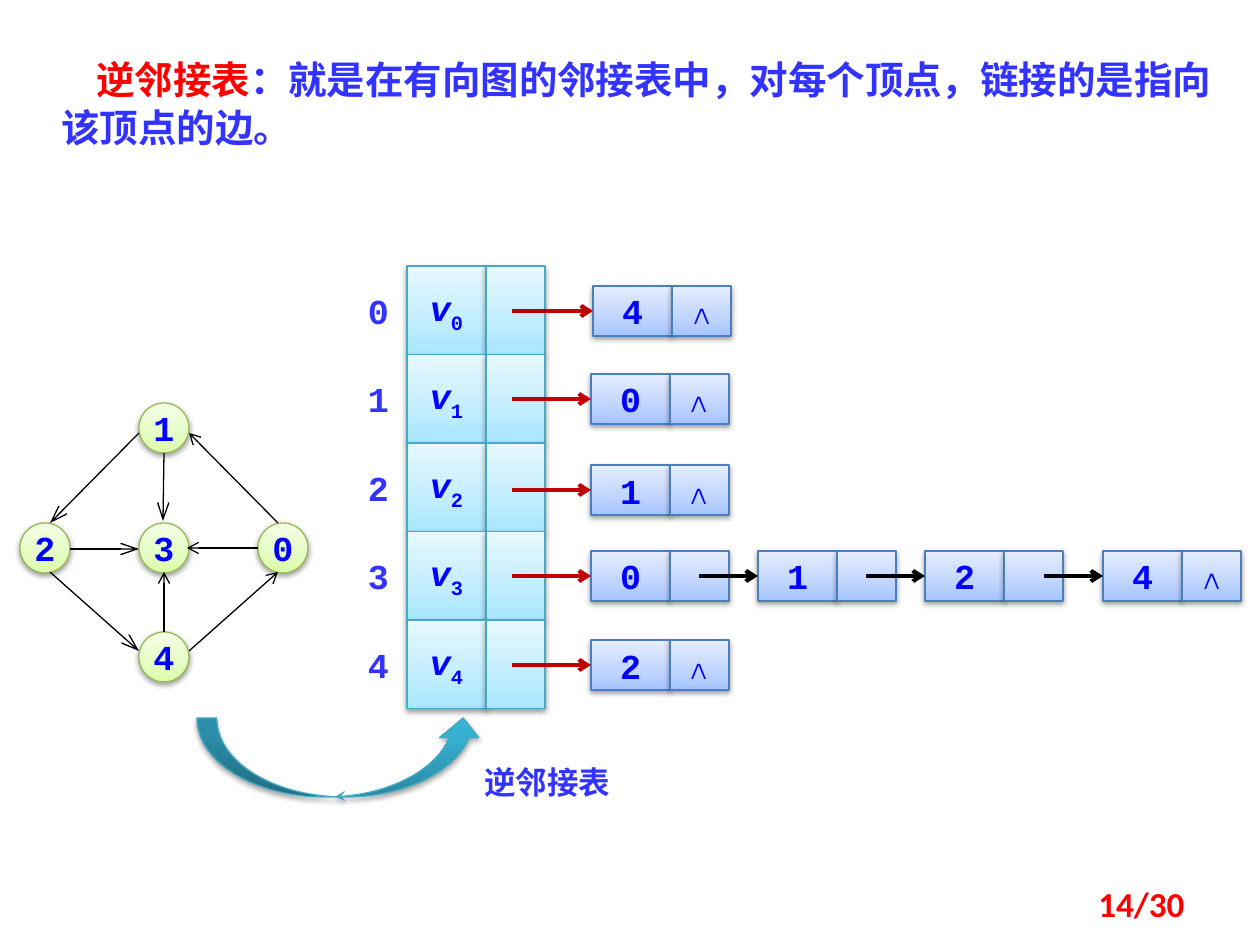
"""Build the slide that explains the inverse adjacency list of a directed graph."""
from copy import deepcopy
from dataclasses import dataclass

from lxml.etree import SubElement
from pptx import Presentation
from pptx.dml.color import RGBColor
from pptx.enum.shapes import MSO_CONNECTOR as Link, MSO_SHAPE as Shape
from pptx.enum.text import MSO_ANCHOR as Anchor, PP_ALIGN as Align
from pptx.oxml.ns import qn
from pptx.util import Pt


@dataclass(frozen=True)
class Theme:
    mono: str = "Courier New"
    cjk: str = "Noto Sans CJK SC"
    page: str = "Calibri"
    red: str = "FF0000"
    indigo: str = "3333FF"
    blue: str = "0000FF"
    black: str = "000000"
    pointer: str = "C00000"
    vertex: tuple = ("98B955", (0, "DAFDA7"), (35, "E4FCC2"), (100, "F5FFE7"))
    node: tuple = ("4B7EBC", (0, "A4C4FF"), (35, "BFD4FF"), (100, "E6EEFF"))
    header: tuple = ("46AAC5", (0, "A7E6FF"), (35, "C1EDFF"), (100, "E7F8FF"))
    swoop: tuple = ("46AAC5", (0, "2A88A2"), (80, "37B1D2"), (100, "34B4D6"))
    lead_size: int = 22
    label_size: int = 20
    caption_size: int = 18
    thin: float = 0.75
    thick: float = 2.25


THEME = Theme()
KEY_W, LINK_W, NODE_H = 79, 59, 50
TABLE_X, TABLE_Y, ROW_H = 407, 266, 88.5
VERTEX_D = 50
VERTICES = {"1": (139, 403), "3": (139, 523), "2": (20, 523), "0": (258, 523), "4": (139, 632)}
EDGES = [
    (139, 433, 50, 523, "lg"),
    (278, 523, 189, 433, "med"),
    (70, 549, 139, 549, "lg"),
    (258, 548, 187, 548, "med"),
    (164, 453, 163, 521, "lg"),
    (50, 572, 139, 651, "lg"),
    (164, 632, 164, 572, "med"),
    (189, 651, 278, 572, "med"),
]
CHAINS = [
    (286, [(593, "4")]),
    (374, [(591, "0")]),
    (465, [(591, "1")]),
    (551, [(591, "0"), (758, "1"), (925, "2"), (1103, "4")]),
    (640, [(591, "2")]),
]


def px(*lengths):
    """Turn pixel lengths into EMU."""
    return [round(length * 914400 / 126) for length in lengths]


def style_run(run, size, color, font=THEME.mono, cjk=None):
    """Give a run its bold typeface, size and colour."""
    run.font.name, run.font.size, run.font.bold = font, Pt(size), True
    run.font.color.rgb = RGBColor.from_string(color)
    if cjk:
        SubElement(run._r.get_or_add_rPr(), qn("a:ea"), typeface=cjk)


def add_glossy(slide, preset, box, palette, text="", shadow_alpha=38):
    """Add a preset shape with a three-stop gradient, a shadow and a centred label."""
    outline, *stops = palette
    shape = slide.shapes.add_shape(preset, *px(*box))
    shape.fill.gradient()
    shape.fill.gradient_angle = 90
    stop_list = shape._element.spPr.find(".//" + qn("a:gsLst"))
    stop_list.append(deepcopy(stop_list[0]))
    for stop, (position, color) in zip(shape.fill.gradient_stops, stops):
        stop.position = position / 100
        stop.color.rgb = RGBColor.from_string(color)
    shape.line.color.rgb = RGBColor.from_string(outline)
    shape.line.width = Pt(THEME.thin)
    shape.shadow.inherit = False
    shadow = SubElement(shape._element.spPr.find(qn("a:effectLst")), qn("a:outerShdw"),
                        blurRad="40000", dist="20000", dir="5400000", rotWithShape="0")
    shade = SubElement(shadow, qn("a:srgbClr"), val=THEME.black)
    SubElement(shade, qn("a:alpha"), val=str(shadow_alpha * 1000))
    if text:
        frame = shape.text_frame
        frame.text, frame.word_wrap, frame.vertical_anchor = text, False, Anchor.MIDDLE
        frame.paragraphs[0].alignment = Align.CENTER
        style_run(frame.paragraphs[0].runs[0], THEME.label_size, THEME.blue)
    return shape


def add_arrow(slide, start, end, color, width, head_length="med", target=None):
    """Add a straight arrow, joined to the left side of a target if there is one."""
    arrow = slide.shapes.add_connector(Link.STRAIGHT, *px(*start, *end))
    arrow.line.color.rgb = RGBColor.from_string(color)
    arrow.line.width = Pt(width)
    SubElement(arrow.line._get_or_add_ln(), qn("a:tailEnd"), type="arrow", w="med", len=head_length)
    SubElement(arrow._element.spPr, qn("a:effectLst"))
    if target is not None:
        arrow.end_connect(target, 1)


def add_text(slide, box, text, size, color, font=THEME.mono, cjk=None, align=Align.LEFT, inset=True):
    """Add a one-paragraph text box and return its paragraph."""
    frame = slide.shapes.add_textbox(*px(*box)).text_frame
    frame.text, frame.word_wrap = text, True
    if not inset:
        frame.margin_left = frame.margin_right = frame.margin_top = frame.margin_bottom = 0
    paragraph = frame.paragraphs[0]
    paragraph.alignment = align
    style_run(paragraph.runs[0], size, color, font, cjk)
    return paragraph


def add_definition(slide):
    """Add the definition with its term in red."""
    paragraph = add_text(slide, (49, 49, 1182, 106), "逆邻接表", THEME.lead_size, THEME.red,
                         THEME.cjk, THEME.cjk)
    rest = paragraph.add_run()
    rest.text = "：就是在有向图的邻接表中，对每个顶点，链接的是指向该顶点的边。"
    style_run(rest, THEME.lead_size, THEME.indigo, THEME.cjk, THEME.cjk)
    paragraph.line_spacing = Pt(27)
    properties = paragraph._p.get_or_add_pPr()
    properties.set("marL", "0")
    properties.set("indent", str(px(35)[0]))


def add_graph(slide):
    """Add the directed graph."""
    for name, (x, y) in VERTICES.items():
        add_glossy(slide, Shape.OVAL, (x, y, VERTEX_D, VERTEX_D), THEME.vertex, name)
    for x1, y1, x2, y2, head_length in EDGES:
        add_arrow(slide, (x1, y1), (x2, y2), THEME.black, THEME.thin, head_length)


def add_header_row(slide, index):
    """Add one vertex of the header table with its index."""
    top = TABLE_Y + ROW_H * index
    vertex = add_glossy(slide, Shape.RECTANGLE, (TABLE_X, top, KEY_W, ROW_H), THEME.header, "v")
    paragraph = vertex.text_frame.paragraphs[0]
    paragraph.runs[0].font.italic = True
    subscript = paragraph.add_run()
    subscript.text = str(index)
    style_run(subscript, THEME.label_size, THEME.blue)
    subscript._r.get_or_add_rPr().set("baseline", "-25000")
    add_glossy(slide, Shape.RECTANGLE, (TABLE_X + KEY_W, top, LINK_W, ROW_H), THEME.header)
    add_text(slide, (354, top + 23, 49, 43), str(index), THEME.label_size, THEME.indigo,
             align=Align.CENTER, inset=False)


def add_chain(slide, top, nodes):
    """Add the linked nodes of one row and the arrows that lead to them."""
    middle = top + NODE_H / 2
    keys = []
    for position, (x, name) in enumerate(nodes, 1):
        end_mark = "∧" if position == len(nodes) else ""
        keys.append(add_glossy(slide, Shape.RECTANGLE, (x, top, KEY_W, NODE_H), THEME.node, name))
        add_glossy(slide, Shape.RECTANGLE, (x + KEY_W, top, LINK_W, NODE_H), THEME.node, end_mark)
    for position, (key, (x, _)) in enumerate(zip(keys, nodes)):
        start_x, color = (x - LINK_W, THEME.black) if position else (512, THEME.pointer)
        add_arrow(slide, (start_x, middle), (x, middle), color, THEME.thick, target=key)


def main():
    """Build and save the slide."""
    deck = Presentation()
    deck.slide_width, deck.slide_height = px(1260, 945)
    slide = deck.slides.add_slide(deck.slide_layouts[6])
    add_definition(slide)
    add_graph(slide)
    for index, (top, nodes) in enumerate(CHAINS):
        add_header_row(slide, index)
        add_chain(slide, top, nodes)
    swoop = add_glossy(slide, Shape.CURVED_UP_ARROW, (197, 718, 286, 79), THEME.swoop, shadow_alpha=35)
    SubElement(swoop.line._get_or_add_ln(), qn("a:headEnd"), type="stealth")
    caption = add_text(slide, (472, 756, 186, 50), "逆邻接表", THEME.caption_size, THEME.indigo,
                       cjk=THEME.cjk)
    caption.line_spacing = Pt(22)
    add_text(slide, (903, 876, 294, 50), "14/30", THEME.label_size, THEME.red, THEME.page,
             align=Align.RIGHT)
    deck.save("out.pptx")


if __name__ == "__main__":
    main()
